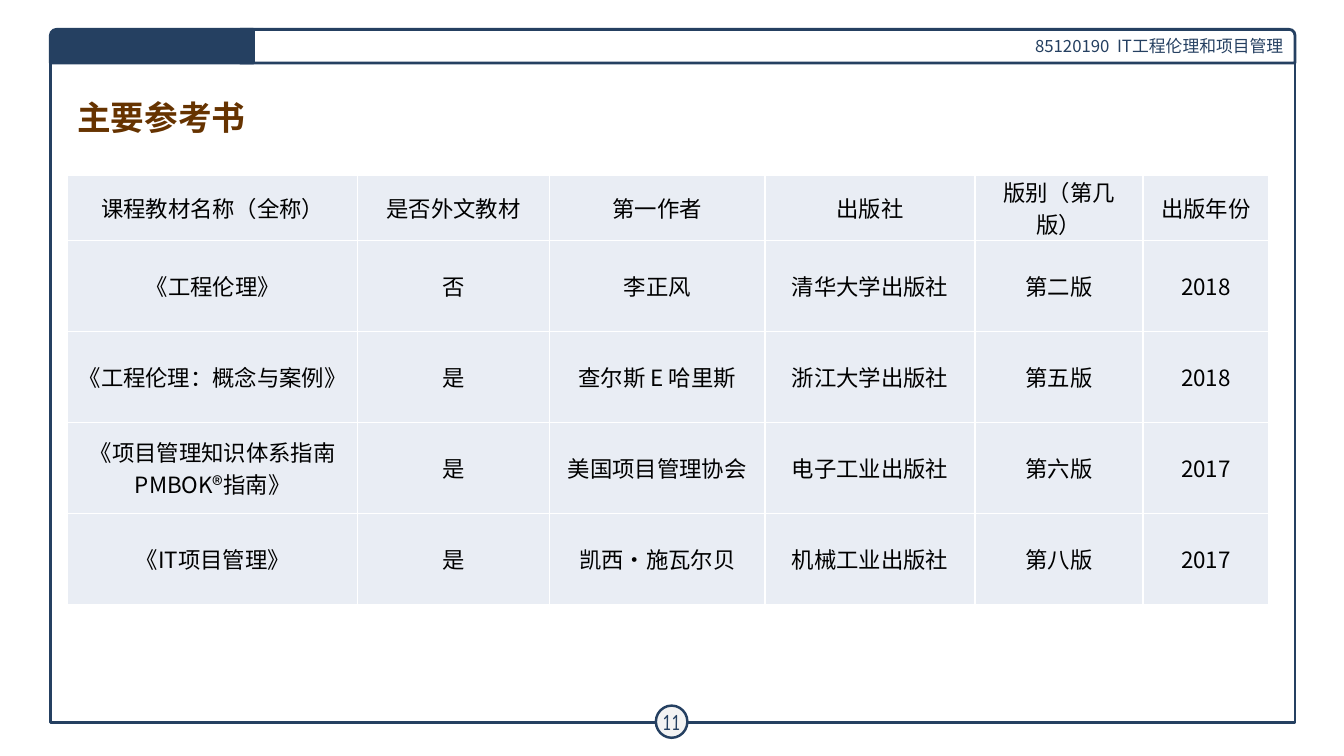
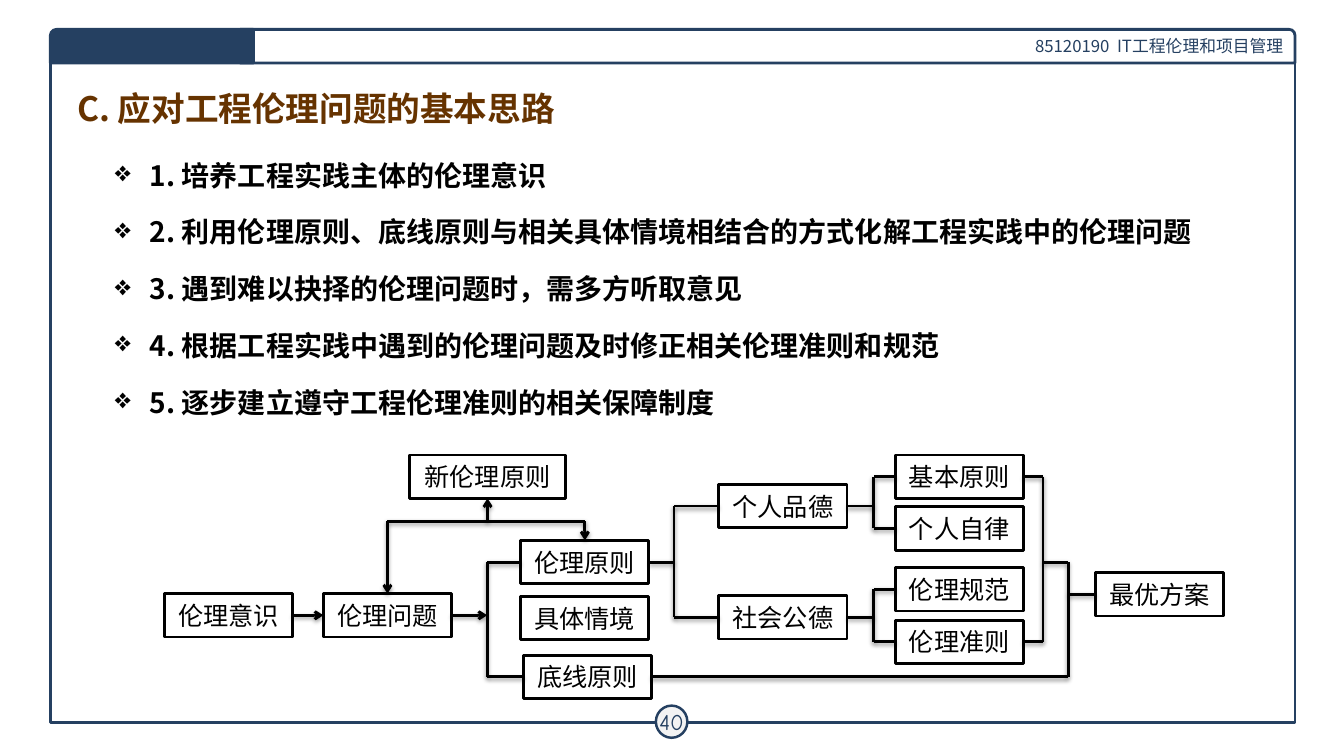
import dataclasses

import lxml.etree as etree
import pptx
import pptx.dml.color
import pptx.enum.shapes
import pptx.enum.text
import pptx.oxml.ns
import pptx.util

Pt = pptx.util.Pt
qn = pptx.oxml.ns.qn
SHAPE = pptx.enum.shapes.MSO_SHAPE
ALIGN = pptx.enum.text.PP_ALIGN
ANCHOR = pptx.enum.text.MSO_ANCHOR
TOP, LEFT, BOTTOM, RIGHT = range(4)


@dataclasses.dataclass(frozen=True)
class Theme:
    navy: str = "254061"
    brown: str = "663300"
    black: str = "000000"
    white: str = "FFFFFF"
    badge: str = "F3F3F3"
    cell: str = "E9EDF4"
    sans: str = "Noto Sans CJK SC"
    serif: str = "TeX Gyre Schola"
    label: str = "Calibri"
    number: str = "Comic Neue"
    title_size: int = 24
    body_size: int = 20
    box_size: int = 18
    table_size: int = 16
    header_size: int = 12


def rgb(value):
    return pptx.dml.color.RGBColor.from_string(value)


def apply(target, values):
    for name, value in values.items():
        setattr(target, name, value)


def element(parent, tag, **attributes):
    return etree.SubElement(parent, qn(tag), attributes)


def middle(shape, site):
    """Middle of one side of a shape."""
    x = {LEFT: shape.left, RIGHT: shape.left + shape.width}
    y = {TOP: shape.top, BOTTOM: shape.top + shape.height}
    return (x.get(site, shape.left + shape.width // 2),
            y.get(site, shape.top + shape.height // 2))


class Builder:
    def __init__(self, theme):
        self.theme = theme
        self.deck = pptx.Presentation()
        apply(self.deck, {"slide_width": Pt(960), "slide_height": Pt(540)})
        self.page = None

    # Text
    def span(self, para, text, size, font, color, bold=False):
        span = para.add_run()
        span.text = text
        apply(span.font, {"size": Pt(size), "name": font, "bold": bold})
        span.font.color.rgb = rgb(color)
        element(span.font._element, "a:ea", typeface=self.theme.sans)

    def frame_format(self, frame, side=7.2, wrap=True, anchor=ANCHOR.MIDDLE):
        apply(frame, {"margin_left": Pt(side), "margin_right": Pt(side),
                      "margin_top": 0, "margin_bottom": 0,
                      "word_wrap": wrap, "vertical_anchor": anchor})

    # Shapes
    def shape(self, kind, at, fill, line, width=2):
        shape = self.page.shapes.add_shape(kind, *map(Pt, at))
        shape.shadow.inherit = False
        if fill:
            shape.fill.solid()
            shape.fill.fore_color.rgb = rgb(fill)
        else:
            shape.fill.background()
        shape.line.color.rgb = rgb(line)
        shape.line.width = Pt(width)
        return shape

    def caption(self, shape, text, size, font, color,
                align=ALIGN.CENTER, **layout):
        self.frame_format(shape.text_frame, **layout)
        para = shape.text_frame.paragraphs[0]
        para.alignment = align
        self.span(para, text, size, font, color)

    def box(self, text, left, top, width=91.5):
        theme = self.theme
        box = self.shape(SHAPE.RECTANGLE, (left, top, width, 31),
                         theme.white, theme.black)
        self.caption(box, text, theme.box_size, theme.label, theme.black)
        return box

    # Page with frame, header, number and title
    def start(self, number, title_top, title):
        theme = self.theme
        self.page = self.deck.slides.add_slide(self.deck.slide_layouts[5])
        self.shape(SHAPE.RECTANGLE, (36, 36, 889, 480), None, theme.navy)
        header = self.shape(SHAPE.ROUND_1_RECTANGLE, (171.5, 21, 753.5, 24),
                            theme.white, theme.navy)
        self.caption(header, "85120190  IT工程伦理和项目管理",
                     theme.header_size, theme.sans, theme.navy, ALIGN.RIGHT)
        badge = self.shape(SHAPE.OVAL, (468.5, 504, 22.5, 23),
                           theme.badge, theme.navy, 1.75)
        self.caption(badge, str(number), theme.table_size, theme.number,
                     theme.navy, side=3, wrap=False)
        tab = self.shape(SHAPE.ROUND_1_RECTANGLE, (36, 21, 145, 24),
                         theme.navy, theme.navy)
        tab.adjustments[0] = 0.175
        tab._element.spPr.find(qn("a:xfrm")).set("flipH", "1")

        holder = self.page.shapes.title
        apply(holder, {"left": Pt(48), "top": Pt(title_top),
                       "width": Pt(864), "height": Pt(35)})
        self.frame_format(holder.text_frame)
        para = holder.text_frame.paragraphs[0]
        para.alignment = ALIGN.LEFT
        for text, font in title:
            self.span(para, text, theme.title_size, font, theme.brown, True)

    def bullets(self, at, items, indent=25, gap=16.5):
        theme = self.theme
        frame = self.page.shapes.add_textbox(*map(Pt, at)).text_frame
        self.frame_format(frame, anchor=ANCHOR.TOP)
        for index, item in enumerate(items):
            para = frame.add_paragraph() if index else frame.paragraphs[0]
            apply(para, {"line_spacing": 1.0, "space_before": Pt(0),
                         "space_after": Pt(gap)})
            properties = para._p.get_or_add_pPr()
            properties.set("marL", str(Pt(indent)))
            properties.set("indent", str(-Pt(indent)))
            element(properties, "a:buChar", char="❖")
            self.span(para, item, theme.body_size, theme.sans,
                      theme.black, True)

    # Table
    def table(self, left, top, widths, heights, rows):
        theme = self.theme
        table = self.page.shapes.add_table(
            len(heights), len(widths), Pt(left), Pt(top),
            Pt(sum(widths)), Pt(sum(heights))).table
        apply(table, {"first_row": False, "horz_banding": False})
        for column, width in zip(table.columns, widths):
            column.width = Pt(width)
        for row, height, texts in zip(table.rows, heights, rows):
            row.height = Pt(height)
            for cell, text in zip(row.cells, texts):
                self.cell(cell, text)

    def cell(self, cell, text):
        theme = self.theme
        apply(cell, {"margin_left": Pt(5), "margin_right": Pt(5),
                     "margin_top": 0, "margin_bottom": 0,
                     "vertical_anchor": ANCHOR.MIDDLE})
        para = cell.text_frame.paragraphs[0]
        para.alignment = ALIGN.CENTER
        self.span(para, text, theme.table_size, theme.sans, theme.black)
        cell.fill.solid()
        cell.fill.fore_color.rgb = rgb(theme.cell)
        properties = cell._tc.get_or_add_tcPr()
        for index, side in enumerate("LRTB"):
            border = element(properties, f"a:ln{side}", w=str(Pt(1)))
            fill = element(border, "a:solidFill")
            element(fill, "a:srgbClr", val=theme.white)
            properties.insert(index, border)

    # Connectors: an end is an (x, y) point or a (shape, site) pair
    def line(self, start, end, arrow=False):
        ends = [middle(*spot) if hasattr(spot[0], "left") else spot
                for spot in (start, end)]
        line = self.page.shapes.add_connector(
            pptx.enum.shapes.MSO_CONNECTOR.STRAIGHT, *ends[0], *ends[1])
        for spot, connect in ((start, line.begin_connect),
                              (end, line.end_connect)):
            if hasattr(spot[0], "left"):
                connect(*spot)
        line.line.color.rgb = rgb(self.theme.black)
        line.line.width = Pt(2)
        if arrow:
            element(line.line._get_or_add_ln(), "a:tailEnd", type="arrow")
        effects = element(line._element.spPr, "a:effectLst")
        shadow = element(effects, "a:outerShdw", blurRad=str(Pt(3.1)),
                         dist=str(Pt(1.6)), dir="5400000", rotWithShape="0")
        color = element(shadow, "a:srgbClr", val=self.theme.black)
        element(color, "a:alpha", val="38000")

    def stub(self, shape, site, x, arrow=False):
        """Level line from a box side to the trunk at x."""
        self.line((shape, site), (Pt(x), middle(shape, site)[1]), arrow)

    def bracket(self, x, site, first, last):
        """Trunk at x with a stub to each of two boxes."""
        self.line(*((Pt(x), middle(box, site)[1]) for box in (first, last)))
        for box in (first, last):
            self.stub(box, site, x)


def books(builder):
    builder.start(11, 66, [("主要参考书", builder.theme.serif)])
    builder.table(48.5, 125.5, [207, 137, 154, 150, 120, 90],
                  [37.5] + [65] * 4, [
        ("课程教材名称（全称）", "是否外文教材", "第一作者", "出版社",
         "版别（第几版）", "出版年份"),
        ("《工程伦理》", "否", "李正风", "清华大学出版社", "第二版", "2018"),
        ("《工程伦理：概念与案例》", "是", "查尔斯 E 哈里斯",
         "浙江大学出版社", "第五版", "2018"),
        ("《项目管理知识体系指南 PMBOK®指南》", "是", "美国项目管理协会",
         "电子工业出版社", "第六版", "2017"),
        ("《IT项目管理》", "是", "凯西·施瓦尔贝", "机械工业出版社",
         "第八版", "2017"),
    ])


def approach(builder):
    theme = builder.theme
    builder.start(40, 60, [("C. ", theme.sans),
                           ("应对工程伦理问题的基本思路", theme.serif)])
    builder.bullets((75, 113, 836, 230), [
        "1. 培养工程实践主体的伦理意识",
        "2. 利用伦理原则、底线原则与相关具体情境相结合的方式化解工程实践中的伦理问题",
        "3. 遇到难以抉择的伦理问题时，需多方听取意见",
        "4. 根据工程实践中遇到的伦理问题及时修正相关伦理准则和规范",
        "5. 逐步建立遵守工程伦理准则的相关保障制度",
    ])

    # Boxes of the flow, left to right
    awareness = builder.box("伦理意识", 117.5, 424)
    problem = builder.box("伦理问题", 231, 424)
    principle = builder.box("伦理原则", 372, 386)
    builder.box("具体情境", 372, 426)
    baseline = builder.box("底线原则", 374, 468)
    renewed = builder.box("新伦理原则", 292.5, 325, 111.5)
    personal = builder.box("个人品德", 513.5, 346)
    public = builder.box("社会公德", 513.5, 425.5)
    basic, discipline, norm, rule = (
        builder.box(text, 639.5, top) for text, top in (
            ("基本原则", 325), ("个人自律", 362),
            ("伦理规范", 405.5), ("伦理准则", 443)))
    best = builder.box("最优方案", 782.5, 409)

    # Main flow
    builder.line((awareness, RIGHT), (problem, LEFT), True)
    builder.stub(problem, RIGHT, 348, True)
    builder.bracket(348, LEFT, principle, baseline)
    for source, x, first, last in ((principle, 481.5, personal, public),
                                   (personal, 624, basic, discipline),
                                   (public, 624, norm, rule)):
        builder.stub(source, RIGHT, x)
        builder.bracket(x, LEFT, first, last)

    # Convergence on the best solution
    builder.bracket(745, RIGHT, basic, rule)
    level = middle(principle, RIGHT)[1]
    builder.line((Pt(745), level), (Pt(763), level))
    builder.line((Pt(763), level), (Pt(763), middle(baseline, RIGHT)[1]))
    builder.stub(baseline, RIGHT, 763)
    builder.stub(best, LEFT, 763)

    # Feedback to the new principle
    feedback = Pt(372.5)
    corners = [(middle(box, TOP)[0], feedback) for box in (problem, principle)]
    builder.line(*corners)
    for corner, box in zip(corners, (problem, principle)):
        builder.line(corner, (box, TOP), True)
    builder.line((middle(renewed, BOTTOM)[0], feedback),
                 (renewed, BOTTOM), True)


def main():
    builder = Builder(Theme())
    books(builder)
    approach(builder)
    builder.deck.save("out.pptx")


if __name__ == "__main__":
    main()
